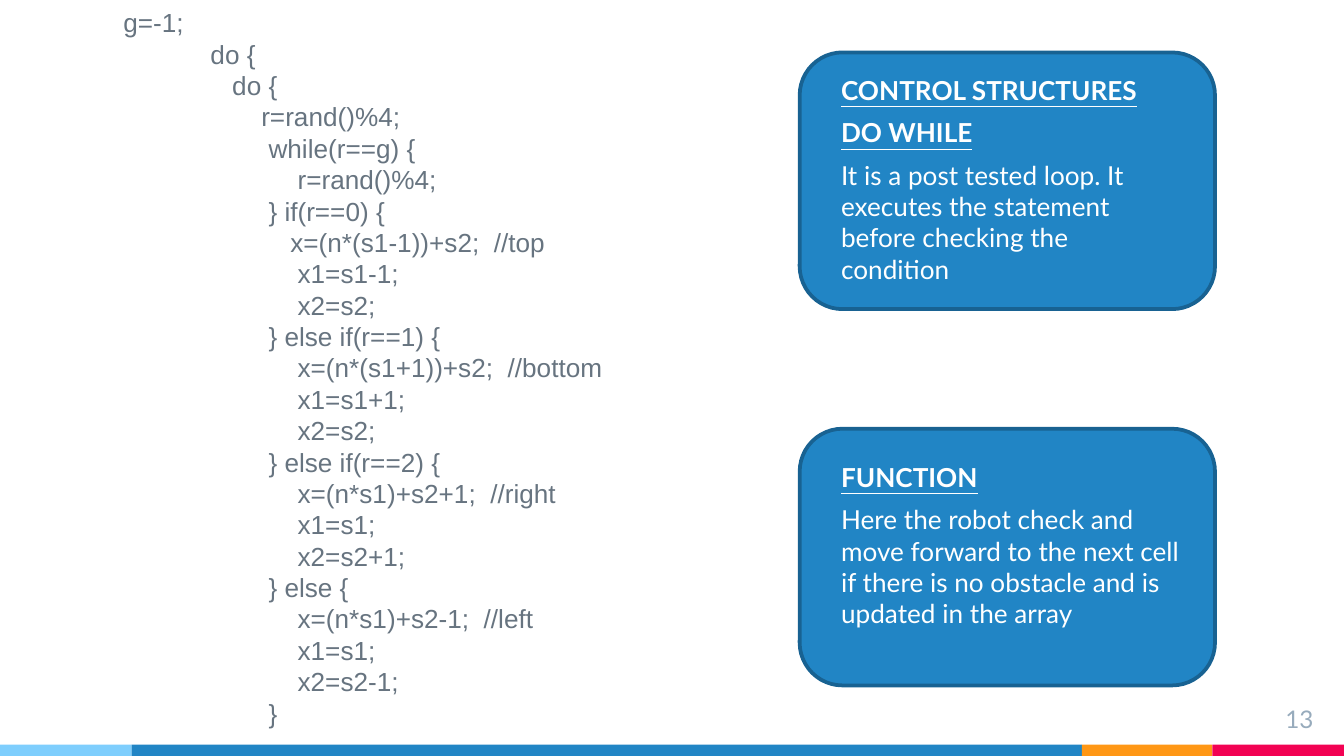
"""Builds a slide that sets a maze-robot code listing beside two explanatory cards."""
from dataclasses import dataclass

from pptx import Presentation
from pptx.dml.color import RGBColor
from pptx.enum.shapes import MSO_SHAPE
from pptx.enum.text import MSO_ANCHOR, PP_ALIGN
from pptx.util import Inches, Pt

RECTANGLE = MSO_SHAPE.RECTANGLE
ROUNDED = MSO_SHAPE.ROUNDED_RECTANGLE
TOP = MSO_ANCHOR.TOP
LEFT, RIGHT = PP_ALIGN.LEFT, PP_ALIGN.RIGHT
BLANK_LAYOUT = 6
SLIDE_WIDTH = 10
SLIDE_HEIGHT = SLIDE_WIDTH * 9 / 16


@dataclass(frozen=True)
class Theme:
    """Colours, fonts and type sizes of the deck."""
    blue: str = "2185C5"
    dark_blue: str = "186292"
    sky: str = "7ECEFD"
    orange: str = "FF9715"
    crimson: str = "F20253"
    white: str = "FFFFFF"
    code_grey: str = "677480"
    number_grey: str = "97ABBC"
    sans: str = "Lato"
    code_font: str = "Arial"
    body_size: float = 14
    number_size: float = 13
    code_leading: float = 16.8
    code_step: float = 0.054
    card_gap: float = 6
    border: float = 2


class SlideWriter:
    """Draws each kind of element on the current slide in the theme's style."""

    def __init__(self, slide, theme):
        self.slide = slide
        self.theme = theme

    def block(self, preset, box, fill, border=None):
        """Add a filled preset shape with an optional border."""
        shape = self.slide.shapes.add_shape(preset, *map(Inches, box))
        shape.shadow.inherit = False
        shape.fill.solid()
        shape.fill.fore_color.rgb = RGBColor.from_string(fill)
        if border:
            shape.line.color.rgb = RGBColor.from_string(border)
            shape.line.width = Pt(self.theme.border)
        else:
            shape.line.fill.background()

    def text_frame(self, box, vertical_inset):
        """Add a wrapping text box and return its frame."""
        frame = self.slide.shapes.add_textbox(*map(Inches, box)).text_frame
        frame.word_wrap = True
        frame.vertical_anchor = TOP
        frame.margin_left = frame.margin_right = Inches(0.1)
        frame.margin_top = frame.margin_bottom = Inches(vertical_inset)
        return frame

    def paragraph(self, frame, index, text, font, size, color, heading=False, align=LEFT):
        """Write one single-run paragraph and return it."""
        paragraph = frame.add_paragraph() if index else frame.paragraphs[0]
        paragraph.alignment = align
        run = paragraph.add_run()
        run.text = text
        run.font.name = font
        run.font.size = Pt(size)
        run.font.bold = run.font.underline = heading
        run.font.color.rgb = RGBColor.from_string(color)
        return paragraph

    def listing(self, box, lines):
        """Write code lines, each indented by its column."""
        theme = self.theme
        frame = self.text_frame(box, 0.05)
        for index, (column, code) in enumerate(lines):
            line = self.paragraph(frame, index, code, theme.code_font,
                                  theme.body_size, theme.code_grey)
            line.line_spacing = Pt(theme.code_leading)
            indent = Inches(column * theme.code_step)
            line._p.get_or_add_pPr().set("marL", str(indent))

    def card(self, top, text_top, headings, explanation):
        """Draw a rounded card with underlined headings and an explanation."""
        theme = self.theme
        self.block(ROUNDED, (5.95, top, 3.09, 1.91), theme.blue, theme.dark_blue)
        frame = self.text_frame((6.16, text_top, 2.74, 1.37), 0.1)
        for index, text in enumerate([*headings, explanation]):
            paragraph = self.paragraph(frame, index, text, theme.sans, theme.body_size,
                                       theme.white, heading=index < len(headings))
            paragraph.space_before = Pt(theme.card_gap)

    def footer(self, number):
        """Draw the coloured strip and the slide number."""
        theme = self.theme
        edges = (0, 0.98, 8.05, 9.02, SLIDE_WIDTH)
        colors = (theme.sky, theme.blue, theme.orange, theme.crimson)
        for start, end, color in zip(edges, edges[1:], colors):
            self.block(RECTANGLE, (start, 5.54, end - start, SLIDE_HEIGHT - 5.54), color)
        frame = self.text_frame((9.27, 5.14, 0.6, 0.34), 0.1)
        self.paragraph(frame, 0, number, theme.sans, theme.number_size,
                       theme.number_grey, align=RIGHT)


CODE = (
    (0, "g=-1;"),
    (12, "do {"),
    (15, "do {"),
    (19, "r=rand()%4;"),
    (20, "while(r==g) {"),
    (24, "r=rand()%4;"),
    (20, "} if(r==0) {"),
    (23, "x=(n*(s1-1))+s2;  //top"),
    (24, "x1=s1-1;"),
    (24, "x2=s2;"),
    (20, "} else if(r==1) {"),
    (24, "x=(n*(s1+1))+s2;  //bottom"),
    (24, "x1=s1+1;"),
    (24, "x2=s2;"),
    (20, "} else if(r==2) {"),
    (24, "x=(n*s1)+s2+1;  //right"),
    (24, "x1=s1;"),
    (24, "x2=s2+1;"),
    (20, "} else {"),
    (24, "x=(n*s1)+s2-1;  //left"),
    (24, "x1=s1;"),
    (24, "x2=s2-1;"),
    (20, "}"),
)


def main():
    """Build and save the slide."""
    deck = Presentation()
    deck.slide_width = Inches(SLIDE_WIDTH)
    deck.slide_height = Inches(SLIDE_HEIGHT)
    slide = deck.slides.add_slide(deck.slide_layouts[BLANK_LAYOUT])
    writer = SlideWriter(slide, Theme())
    writer.footer("13")
    writer.listing((0.82, 0, 7.44, 5.52), CODE)
    writer.card(3.19, 3.33, ["FUNCTION"],
                "Here the robot check and move forward to the next cell "
                "if there is no obstacle and is updated in the array")
    writer.card(0.39, 0.45, ["CONTROL STRUCTURES", "DO WHILE"],
                "It is a post tested loop. It executes the statement "
                "before checking the condition")
    deck.save("out.pptx")


if __name__ == "__main__":
    main()
